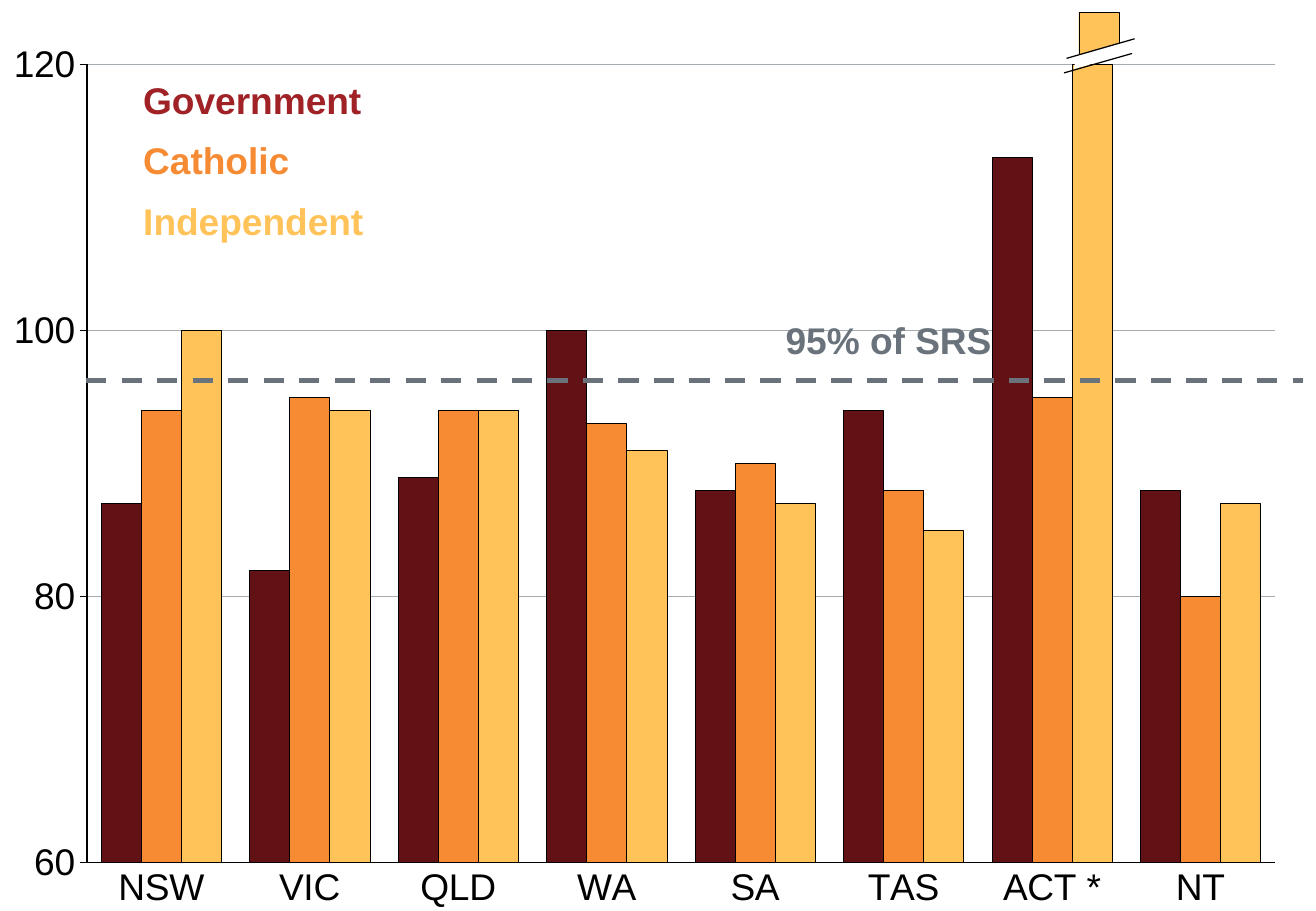
from lxml import etree
from pptx import Presentation
from pptx.chart.data import CategoryChartData
from pptx.dml.color import RGBColor
from pptx.enum.chart import XL_CHART_TYPE, XL_TICK_MARK
from pptx.enum.dml import MSO_LINE
from pptx.enum.shapes import MSO_CONNECTOR, MSO_SHAPE
from pptx.oxml import parse_xml
from pptx.oxml.ns import qn
from pptx.util import Pt

COLUMNS = XL_CHART_TYPE.COLUMN_CLUSTERED
NO_TICK, TICK_OUT = XL_TICK_MARK.NONE, XL_TICK_MARK.OUTSIDE
DASH = MSO_LINE.DASH
STRAIGHT = MSO_CONNECTOR.STRAIGHT
RECTANGLE = MSO_SHAPE.RECTANGLE
BLACK, WHITE, GREY, YELLOW = "000000", "FFFFFF", "6A737B", "FFC35A"
CHART_NS = "http://schemas.openxmlformats.org/drawingml/2006/chart"


def paint(fmt, color):
    fmt.solid()
    fmt.fore_color.rgb = RGBColor.from_string(color)


def add_line(x1, y1, x2, y2, color, width):
    line = s.shapes.add_connector(STRAIGHT, Pt(x1), Pt(y1), Pt(x2), Pt(y2))
    paint(line.line.fill, color)
    line.line.width = Pt(width)
    etree.SubElement(line._element.spPr, qn("a:effectLst"))
    return line


prs = Presentation()
prs.slide_width, prs.slide_height = Pt(780), Pt(540)
s = prs.slides.add_slide(prs.slide_layouts[6])

data = CategoryChartData()
data.categories = ["NSW", "VIC", "QLD", "WA", "SA", "TAS", "ACT *", "NT"]
sectors = [
    ("Government", "621214", [87, 82, 89, 100, 88, 94, 113, 88]),
    ("Catholic", "F68B33", [94, 95, 94, 93, 90, 88, 95, 80]),
    ("Independent", YELLOW, [100, 94, 94, 91, 87, 85, 154, 87]),
]
for name, color, values in sectors:
    data.add_series(name, values)
chart = s.shapes.add_chart(COLUMNS, Pt(-7.2), Pt(15.8), Pt(778.3), Pt(533.5), data).chart
chart.has_legend = False
chart.has_title = False
chart.font.name = "Arial"
chart.font.size = Pt(22)
paint(chart.font.fill, BLACK)

plot = chart.plots[0]
plot.gap_width = 70
plot.overlap = 0
plot.vary_by_categories = False
for series, (name, color, values) in zip(plot.series, sectors):
    paint(series.format.fill, color)
    paint(series.format.line.fill, BLACK)
    series.format.line.width = Pt(0.25)

for axis, tick in ((chart.category_axis, NO_TICK), (chart.value_axis, TICK_OUT)):
    axis.major_tick_mark = tick
    axis.minor_tick_mark = NO_TICK
    axis.tick_labels.font.size = Pt(22)
    paint(axis.format.line.fill, BLACK)
    axis.format.line.width = Pt(0.75)
axis = chart.value_axis
axis.minimum_scale, axis.maximum_scale, axis.major_unit = 60, 120, 20
axis.has_major_gridlines = True
paint(axis.major_gridlines.format.line.fill, "A4ABB1")
axis.major_gridlines.format.line.width = Pt(0.75)

plot_area = chart._chartSpace.chart.plotArea
for layout in plot_area.findall(qn("c:layout")):
    plot_area.remove(layout)
plot_area.insert(0, parse_xml(
    f'<c:layout xmlns:c="{CHART_NS}"><c:manualLayout><c:layoutTarget val="inner"/>'
    '<c:xMode val="edge"/><c:yMode val="edge"/><c:x val="0.0755"/><c:y val="0.042"/>'
    '<c:w val="0.9045"/><c:h val="0.887"/></c:manualLayout></c:layout>'))

labels = [
    ("Government", 77.8, 42.5, 149, "A02226"),
    ("Catholic", 77.8, 77.8, 105, "F68B33"),
    ("Independent", 77.8, 113.8, 150.5, YELLOW),
    ("95% of SRS", 458.6, 184.3, 138.2, GREY),
]
for text, x, y, width, color in labels:
    tf = s.shapes.add_textbox(Pt(x), Pt(y), Pt(width), Pt(34)).text_frame
    tf.word_wrap = False
    p = tf.paragraphs[0]
    p.text = text
    p.font.name = "Arial"
    p.font.size = Pt(22)
    p.font.bold = True
    paint(p.font.fill, color)

target = add_line(51.1, 225.4, 772.6, 225.4, GREY, 3)
target.line.dash_style = DASH

bar_top = s.shapes.add_shape(RECTANGLE, Pt(639.4), Pt(7.2), Pt(23.8), Pt(25.2))
paint(bar_top.fill, YELLOW)
paint(bar_top.line.fill, BLACK)
bar_top.line.width = Pt(0.25)
bar_top.shadow.inherit = False

outline = s.shapes.build_freeform(Pt(637.9), Pt(33.1))
outline.add_line_segments(
    [(Pt(x), Pt(y)) for x, y in ((636.5, 41), (666.7, 32.4), (667.4, 24.5))])
axis_break = outline.convert_to_shape()
paint(axis_break.fill, WHITE)
axis_break.line.fill.background()
axis_break.shadow.inherit = False

add_line(672.5, 23, 632.2, 34.6, BLACK, 0.75)
add_line(671, 31.7, 630.7, 43.2, BLACK, 0.75)

prs.save("out.pptx")
